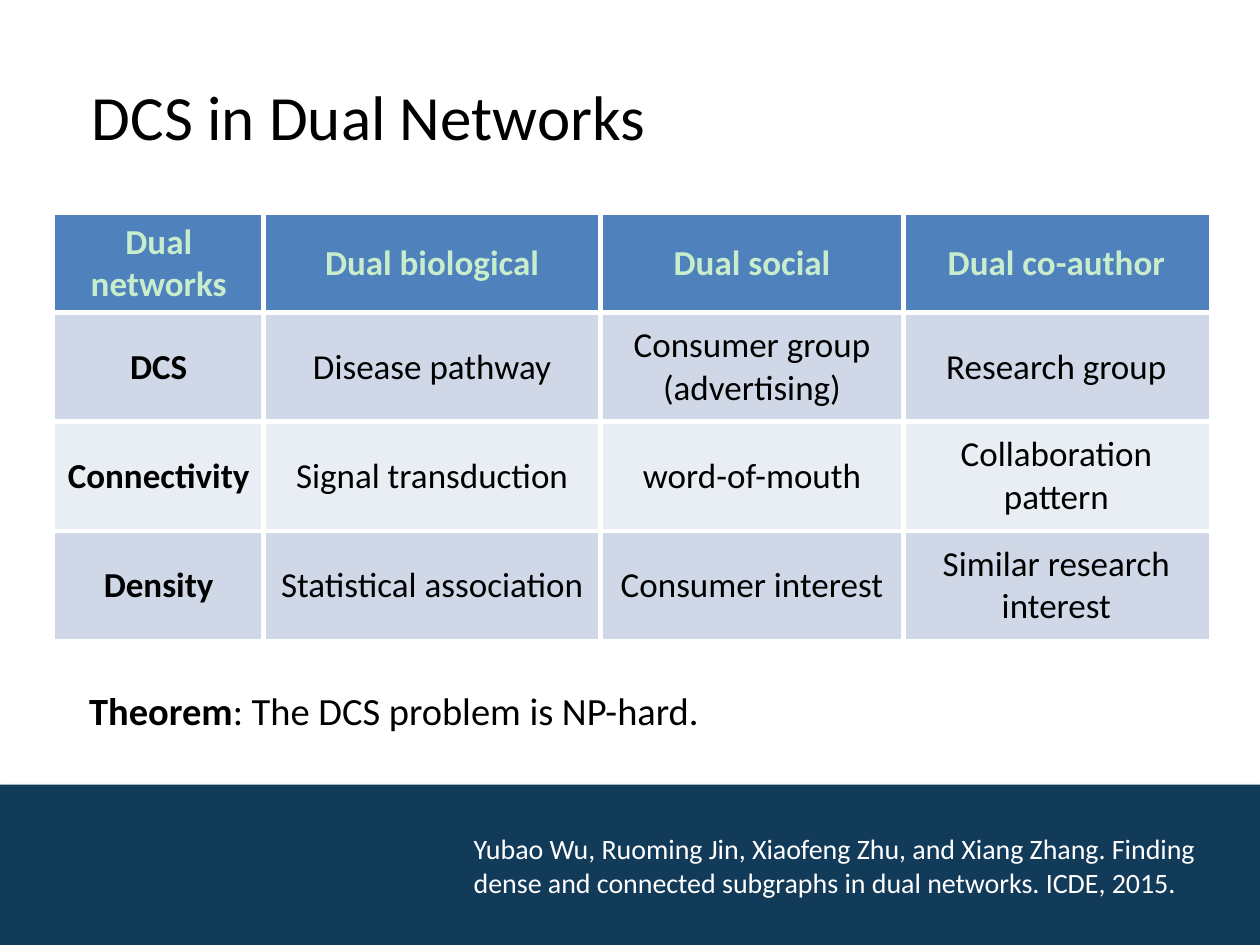
from lxml import etree
from pptx import Presentation
from pptx import util as u
from pptx.dml.color import RGBColor
from pptx.enum import shapes, text
from pptx.oxml.ns import qn

C = {"white": "FFFFFF", "black": "000000", "navy": "123A59", "mint": "C7EDCC",
     "head": "4F81BD", "band": "D0D8E8", "light": "E9EDF4"}


def style(r, size, color, bold=False):
    r.font.name = "Calibri"
    r.font.size = u.Pt(size)
    r.font.bold = bold
    r.font.color.rgb = RGBColor.from_string(C[color])


def border(cell, side, width):
    pr = cell._tc.get_or_add_tcPr()
    ln = etree.SubElement(pr, qn(f"a:ln{side}"), w=str(u.Pt(width)))
    fill = etree.SubElement(ln, qn("a:solidFill"))
    etree.SubElement(fill, qn("a:srgbClr"), val=C["white"])


prs = Presentation()
prs.slide_width, prs.slide_height = u.Cm(25.4), u.Cm(19.05)
s = prs.slides.add_slide(prs.slide_layouts[5])
s.background.fill.solid()
s.background.fill.fore_color.rgb = RGBColor.from_string(C["white"])

sp = s.shapes.add_shape(shapes.MSO_SHAPE.RECTANGLE, 0, u.Cm(15.82), u.Cm(25.4), u.Cm(3.23))
sp.fill.solid()
sp.fill.fore_color.rgb = RGBColor.from_string(C["navy"])
sp.line.fill.background()
sp.shadow.inherit = False
effects = sp._element.spPr.find(qn("a:effectLst"))
shadow = etree.SubElement(effects, qn("a:outerShdw"), blurRad=str(u.Pt(3.1)),
                          dist=str(u.Pt(1.8)), dir="5400000", rotWithShape="0")
clr = etree.SubElement(shadow, qn("a:srgbClr"), val=C["black"])
etree.SubElement(clr, qn("a:alpha"), val="35000")

title = s.shapes.title
title.left, title.top, title.width, title.height = u.Cm(1.6), u.Cm(1.32), u.Cm(14.1), u.Cm(1.9)
tf = title.text_frame
tf.text = "DCS in Dual Networks"
tf.margin_bottom = 0
tf.vertical_anchor = text.MSO_ANCHOR.MIDDLE
tf.paragraphs[0].alignment = text.PP_ALIGN.LEFT
style(tf.paragraphs[0].runs[0], 36, "black")

rows = [
    ["Dual networks", "Dual biological", "Dual social", "Dual co-author"],
    ["DCS", "Disease pathway", "Consumer group\n(advertising)", "Research group"],
    ["Connectivity", "Signal transduction", "word-of-mouth", "Collaboration pattern"],
    ["Density", "Statistical association", "Consumer interest", "Similar research interest"],
]
widths = [4.22, 6.8, 6.1, 6.17]
heights = [1.98, 2.2, 2.2, 2.2]
tbl = s.shapes.add_table(len(rows), len(widths), u.Cm(1.09), u.Cm(4.32),
                         u.Cm(sum(widths)), u.Cm(sum(heights))).table
for col, w in zip(tbl.columns, widths):
    col.width = u.Cm(w)
for row, h in zip(tbl.rows, heights):
    row.height = u.Cm(h)

fills = ["head", "band", "light", "band"]
for i, row in enumerate(rows):
    for j, label in enumerate(row):
        cell = tbl.cell(i, j)
        cell.text_frame.text = label
        cell.vertical_anchor = text.MSO_ANCHOR.MIDDLE
        for p in cell.text_frame.paragraphs:
            p.alignment = text.PP_ALIGN.CENTER
            style(p.runs[0], 20, "black" if i else "mint", i == 0 or j == 0)
        outer = {"L": j == 0, "R": j == len(row) - 1, "T": i == 0, "B": i == len(rows) - 1}
        for side, edge in outer.items():
            border(cell, side, 1 if edge else 3)
        cell.fill.solid()
        cell.fill.fore_color.rgb = RGBColor.from_string(C[fills[i]])

notes = [
    ((1.4, 13.72, 14.6, 1.19), 22, "black", 0.15,
     [("Theorem", True), (": The DCS problem is NP-hard.", False)]),
    ((9.3, 16.64, 15.82, 1.63), 16, "white", 0,
     [("Yubao Wu, Ruoming Jin, Xiaofeng Zhu, and Xiang Zhang. Finding dense and "
       "connected subgraphs in dual networks. ICDE, 2015.", False)]),
]
for box, size, color, indent, runs in notes:
    tf = s.shapes.add_textbox(*map(u.Cm, box)).text_frame
    tf.word_wrap = True
    p = tf.paragraphs[0]
    p._p.get_or_add_pPr().set("marL", str(u.Cm(indent)))
    for words, bold in runs:
        r = p.add_run()
        r.text = words
        style(r, size, color, bold)

prs.save("out.pptx")
